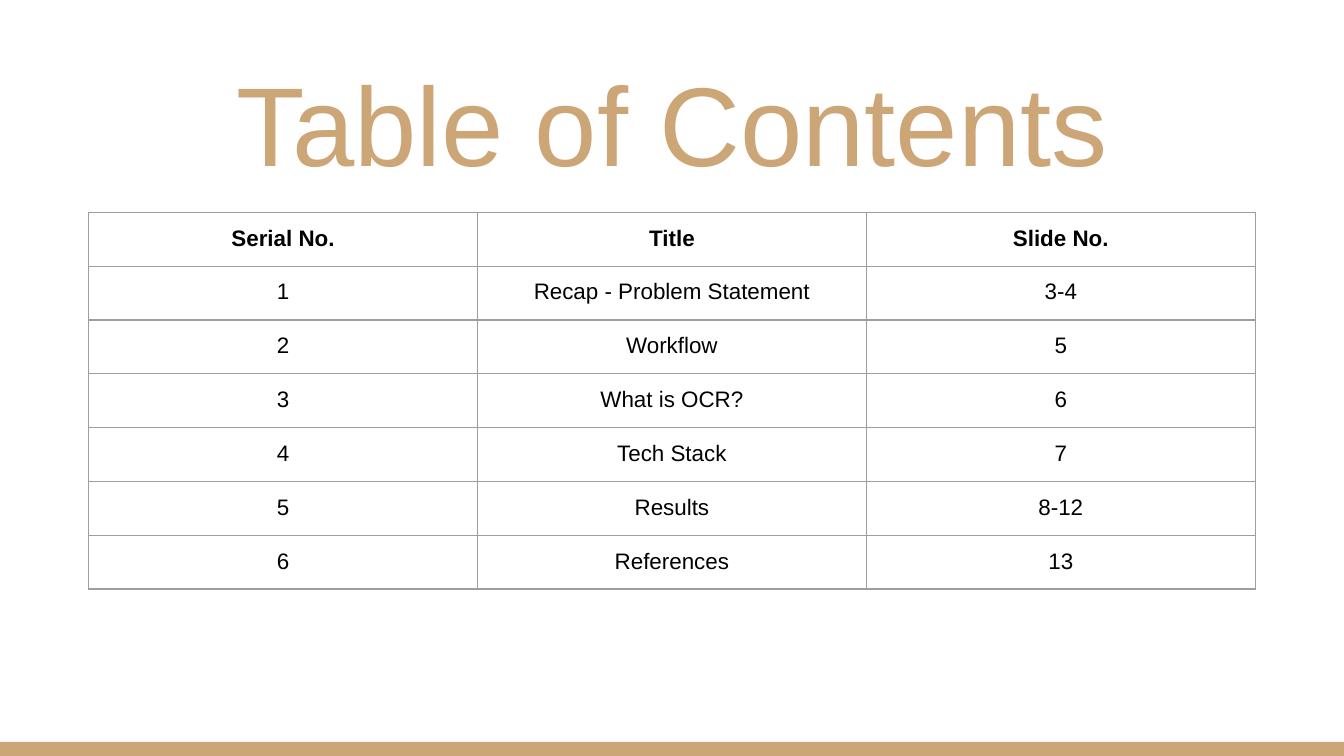
from pptx import Presentation
from pptx.dml.color import RGBColor
from pptx.enum.shapes import MSO_SHAPE
from pptx.enum.text import MSO_ANCHOR, PP_ALIGN
from pptx.util import Inches, Pt
from lxml.etree import SubElement
from pptx.oxml.ns import qn

COLORS = {"gold": "CCA677", "text": "000000", "border": "9E9E9E", "paper": "FFFFFF"}
FONT = "Arial"
PAGE_WIDTH = 10
PAGE_HEIGHT = PAGE_WIDTH * 9 / 16
PADDING = 0.1

CONTENTS = [
    ("Serial No.", "Title", "Slide No."),
    ("1", "Recap - Problem Statement", "3-4"),
    ("2", "Workflow", "5"),
    ("3", "What is OCR?", "6"),
    ("4", "Tech Stack", "7"),
    ("5", "Results", "8-12"),
    ("6", "References", "13"),
]


def write_text(frame, text, size=12, color="text", bold=False):
    frame.word_wrap = True
    para = frame.paragraphs[0]
    para.alignment = PP_ALIGN.CENTER
    span = para.add_run()
    span.text = text
    span.font.name = FONT
    span.font.size = Pt(size)
    span.font.bold = bold
    span.font.color.rgb = RGBColor.from_string(COLORS[color])


def set_margins(holder):
    """Give a text frame or a table cell equal padding on all sides."""
    holder.margin_left = holder.margin_right = Inches(PADDING)
    holder.margin_top = holder.margin_bottom = Inches(PADDING)


def add_footer_bar(page, left, top, width, height):
    bar = page.shapes.add_shape(
        MSO_SHAPE.RECTANGLE, Inches(left), Inches(top), Inches(width), Inches(height))
    bar.shadow.inherit = False
    bar.fill.solid()
    bar.fill.fore_color.rgb = RGBColor.from_string(COLORS["gold"])
    bar.line.fill.background()


def add_title(page, left, top, width, height):
    box = page.shapes.add_textbox(Inches(left), Inches(top), Inches(width), Inches(height))
    box.text_frame.vertical_anchor = MSO_ANCHOR.MIDDLE
    set_margins(box.text_frame)
    write_text(box.text_frame, "Table of Contents", size=60, color="gold")


def add_borders(cell, color, width):
    properties = cell._tc.get_or_add_tcPr()
    for side in ("a:lnL", "a:lnR", "a:lnT", "a:lnB"):
        line = SubElement(properties, qn(side), w=str(Pt(width)))
        fill = SubElement(line, qn("a:solidFill"))
        SubElement(fill, qn("a:srgbClr"), val=COLORS[color])


def add_contents_table(page, left, top, width, height):
    table = page.shapes.add_table(
        len(CONTENTS), len(CONTENTS[0]),
        Inches(left), Inches(top), Inches(width), Inches(height)).table
    table.first_row = table.horz_banding = False
    for row_index, entries in enumerate(CONTENTS):
        for column_index, text in enumerate(entries):
            cell = table.cell(row_index, column_index)
            add_borders(cell, "border", 0.75)
            cell.fill.background()
            set_margins(cell)
            write_text(cell.text_frame, text, bold=row_index == 0)


def main():
    deck = Presentation()
    deck.slide_width, deck.slide_height = Inches(PAGE_WIDTH), Inches(PAGE_HEIGHT)
    page = deck.slides.add_slide(deck.slide_layouts[6])
    page.background.fill.solid()
    page.background.fill.fore_color.rgb = RGBColor.from_string(COLORS["paper"])

    # Gold strip along the bottom edge
    add_footer_bar(page, 0, 5.52, PAGE_WIDTH, PAGE_HEIGHT - 5.52)
    # Heading and list of sections
    add_title(page, 0.34, 0.3, 9.32, 1.21)
    add_contents_table(page, 0.66, 1.58, 8.68, 2.8)
    deck.save("out.pptx")


if __name__ == "__main__":
    main()
